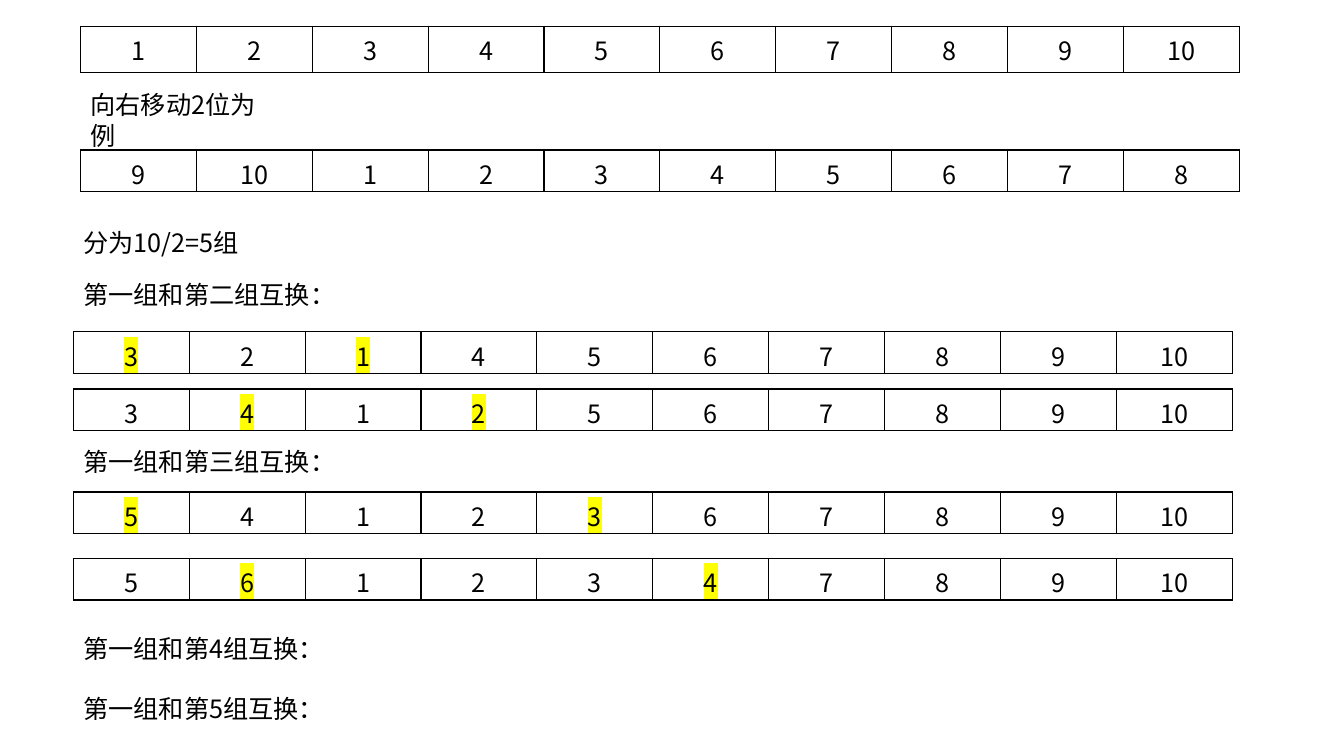
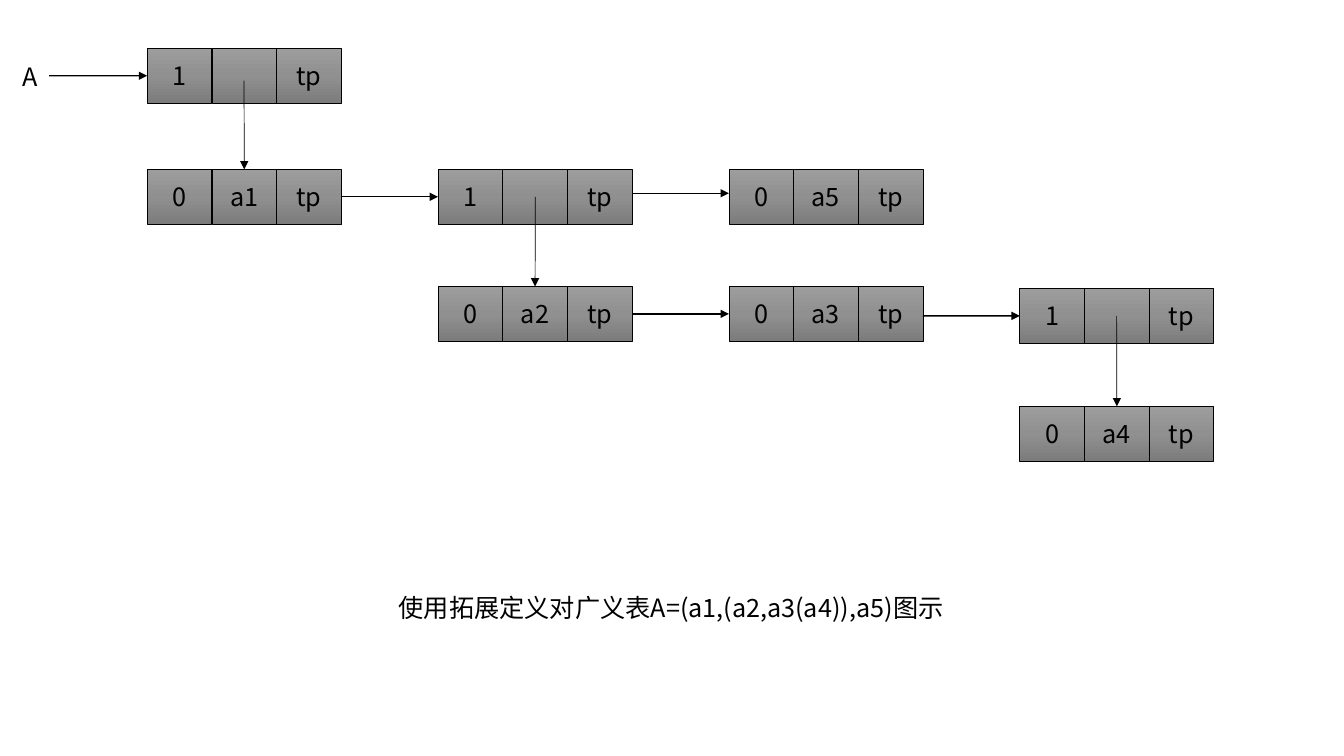
"""Build two slides: array rotation by swapping groups, and a generalized list diagram."""
from copy import deepcopy

from lxml import etree
from pptx import Presentation
from pptx.dml.color import RGBColor
from pptx.enum import shapes, text
from pptx.oxml import ns
from pptx.util import Cm, Pt

FONT = "Noto Sans CJK SC"
BLACK = RGBColor(0x00, 0x00, 0x00)
YELLOW = RGBColor(0xFF, 0xFF, 0x00)
NODE_GRADIENT = (
    (0, RGBColor(0x9D, 0x9D, 0x9D)),
    (0.5, RGBColor(0x90, 0x90, 0x90)),
    (1, RGBColor(0x7C, 0x7C, 0x7C)),
)


def style_run(run):
    run.font.size = Pt(18)
    run.font.name = FONT
    run.font.color.rgb = BLACK
    etree.SubElement(run.font._element, ns.qn("a:ea"), typeface=FONT)


def add_label(slide, left, top, width, lines):
    label = slide.shapes.add_textbox(Cm(left), Cm(top), Cm(width), Cm(1.02))
    frame = label.text_frame
    frame.word_wrap = True
    frame.text = "\n".join(lines)
    for index, paragraph in enumerate(frame.paragraphs):
        paragraph.line_spacing = Pt(22)
        paragraph.space_before = Pt(21 if index else 0)
        style_run(paragraph.runs[0])


prs = Presentation()
prs.slide_width, prs.slide_height = Cm(33.87), Cm(19.05)
blank = prs.slide_layouts[6]

rotation = prs.slides.add_slide(blank)
arrays = (
    (2.03, 0.66, 1.17, "1 2 3 4 5 6 7 8 9 10", ()),
    (2.03, 3.78, 1.04, "9 10 1 2 3 4 5 6 7 8", ()),
    (1.85, 8.36, 1.04, "3 2 1 4 5 6 7 8 9 10", (0, 2)),
    (1.85, 9.8, 1.04, "3 4 1 2 5 6 7 8 9 10", (1, 3)),
    (1.85, 12.4, 1.04, "5 4 1 2 3 6 7 8 9 10", (0, 4)),
    (1.85, 14.07, 1.04, "5 6 1 2 3 4 7 8 9 10", (1, 5)),
)
for left, top, height, numbers, swapped in arrays:
    values = numbers.split()
    array = rotation.shapes.add_table(
        1, len(values), Cm(left), Cm(top), Cm(2.92 * len(values)), Cm(height)
    ).table
    array.first_row = array.horz_banding = False
    for index, value in enumerate(values):
        array.columns[index].width = Cm(2.92)
        cell = array.cell(0, index)
        cell.margin_bottom = 0
        cell.text_frame.text = value
        paragraph = cell.text_frame.paragraphs[0]
        paragraph.alignment = text.PP_ALIGN.CENTER
        style_run(paragraph.runs[0])
        if index in swapped:
            highlight = etree.Element(ns.qn("a:highlight"))
            etree.SubElement(highlight, ns.qn("a:srgbClr"), val=str(YELLOW))
            paragraph.runs[0].font._element.find(ns.qn("a:latin")).addprevious(highlight)
        cell_properties = cell._tc.get_or_add_tcPr()
        for side in ("a:lnL", "a:lnR", "a:lnT", "a:lnB"):
            border = etree.SubElement(cell_properties, ns.qn(side), w=str(Pt(1)))
            border_fill = etree.SubElement(border, ns.qn("a:solidFill"))
            etree.SubElement(border_fill, ns.qn("a:srgbClr"), val=str(BLACK))
        cell.fill.background()

for left, top, width, lines in (
    (2.03, 2.11, 5.05, ["向右移动2位为例"]),
    (1.85, 5.59, 4.9, ["分为10/2=5组"]),
    (1.85, 6.91, 7, ["第一组和第二组互换："]),
    (1.85, 11.1, 7, ["第一组和第三组互换："]),
    (1.85, 15.82, 7, ["第一组和第4组互换：", "第一组和第5组互换："]),
):
    add_label(rotation, left, top, width, lines)

diagram = prs.slides.add_slide(blank)
add_label(diagram, 9.8, 14.78, 15, ["使用拓展定义对广义表A=(a1,(a2,a3(a4)),a5)图示"])
add_label(diagram, 0.33, 1.4, 0.95, ["A"])

nodes = {}
for name, column, top, tag, atom in (
    ("list A", 0, 1.22, "1", ""),
    ("a1", 0, 4.27, "0", "a1"),
    ("sublist", 1, 4.27, "1", ""),
    ("a5", 2, 4.27, "0", "a5"),
    ("a2", 1, 7.22, "0", "a2"),
    ("a3", 2, 7.22, "0", "a3"),
    ("inner list", 3, 7.27, "1", ""),
    ("a4", 3, 10.24, "0", "a4"),
):
    node = diagram.shapes.add_group_shape()
    nodes[name] = []
    for index, content in enumerate((tag, atom, "tp")):
        field = node.shapes.add_shape(
            shapes.MSO_SHAPE.RECTANGLE,
            Cm(3.71 + 7.33 * column + 1.63 * index), Cm(top), Cm(1.63), Cm(1.38),
        )
        field.shadow.inherit = False
        field.fill.gradient()
        field.fill.gradient_angle = 270
        stop_list = field._element.spPr.find(".//" + ns.qn("a:gsLst"))
        stop_list.append(deepcopy(stop_list[0]))
        for stop, (position, color) in zip(field.fill.gradient_stops, NODE_GRADIENT):
            stop.position = position
            stop.color.rgb = color
        field.line.color.rgb = BLACK
        field.line.width = Pt(0.5)
        if content:
            frame = field.text_frame
            frame.text = content
            frame.vertical_anchor = text.MSO_ANCHOR.MIDDLE
            frame.paragraphs[0].alignment = text.PP_ALIGN.CENTER
            style_run(frame.paragraphs[0].runs[0])
        nodes[name].append(field)

TOP, LEFT, RIGHT = 0, 1, 3
for start, end, weight, source, target in (
    ((1.24, 1.91), (3.71, 1.91), 1, None, ("list A", 0, LEFT)),
    ((6.15, 2.03), (6.15, 4.27), 0.5, None, ("a1", 1, TOP)),
    ((8.6, 4.96), (11.04, 4.96), 1, ("a1", 2, RIGHT), ("sublist", 0, LEFT)),
    ((15.93, 4.87), (18.37, 4.87), 1, None, None),
    ((13.49, 4.96), (13.49, 7.22), 0.5, None, ("a2", 1, TOP)),
    ((15.93, 7.91), (18.37, 7.91), 1, ("a2", 2, RIGHT), ("a3", 0, LEFT)),
    ((23.26, 7.96), (25.7, 7.96), 1, None, ("inner list", 0, LEFT)),
    ((28.14, 7.96), (28.14, 10.24), 0.5, None, ("a4", 1, TOP)),
):
    pointer = diagram.shapes.add_connector(
        shapes.MSO_CONNECTOR.STRAIGHT, *(Cm(value) for value in start + end)
    )
    if source:
        pointer.begin_connect(nodes[source[0]][source[1]], source[2])
    if target:
        pointer.end_connect(nodes[target[0]][target[1]], target[2])
    pointer.line.color.rgb = BLACK
    pointer.line.width = Pt(weight)
    properties = pointer._element.spPr
    etree.SubElement(properties.find(ns.qn("a:ln")), ns.qn("a:tailEnd"), type="triangle")
    etree.SubElement(properties, ns.qn("a:effectLst"))

prs.save("out.pptx")
